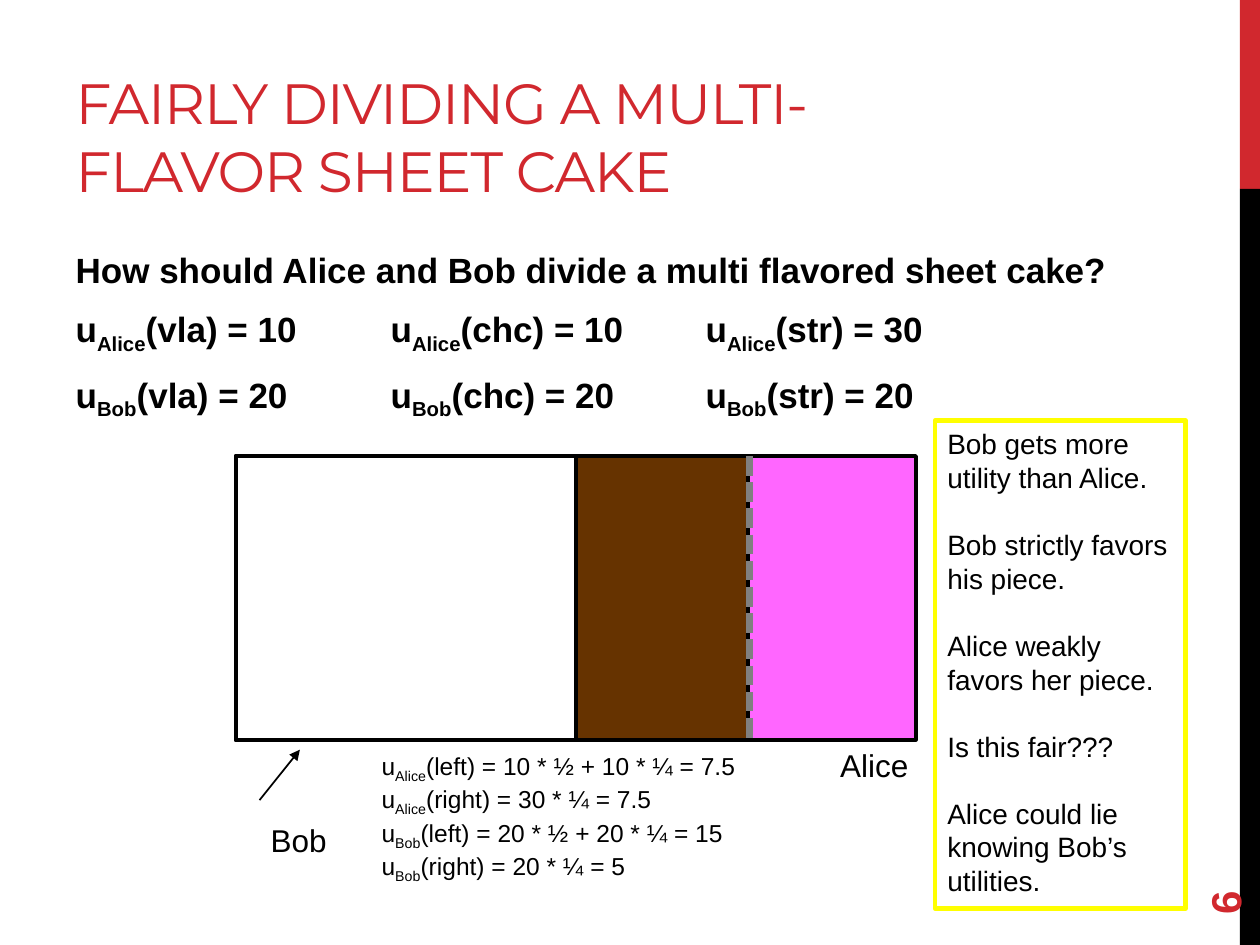
from lxml.etree import SubElement
from pptx import Presentation
from pptx.dml.color import RGBColor
from pptx.enum.dml import MSO_LINE
from pptx.enum.shapes import MSO_CONNECTOR, MSO_SHAPE
from pptx.enum.text import MSO_ANCHOR, MSO_AUTO_SIZE, PP_ALIGN
from pptx.oxml.ns import qn
from pptx.util import Inches, Pt

RED, BLACK, WHITE = "D1282E", "000000", "FFFFFF"
CAKE_LEFT, CAKE_TOP, CAKE_WIDTH, CAKE_HEIGHT = 1.87, 3.62, 5.4, 2.25
CAKE_BOTTOM = CAKE_TOP + CAKE_HEIGHT


def color(hex_string):
    return RGBColor.from_string(hex_string)


def place(shape, left, top, width, height):
    shape.left, shape.top = Inches(left), Inches(top)
    shape.width, shape.height = Inches(width), Inches(height)


def add_runs(paragraph, text, size, hex_string=BLACK, font="Arial", bold=False):
    for index, part in enumerate(text.split("_")):
        run = paragraph.add_run()
        run.text = part
        run.font.size = Pt(size)
        run.font.name = font
        run.font.bold = bold
        run.font.color.rgb = color(hex_string)
        if index % 2:
            run.font._element.set("baseline", "-25000")


def write(shape, lines, size, gap=0, after=0, anchor=MSO_ANCHOR.TOP, wrap=True, **style):
    frame = shape.text_frame
    frame.word_wrap = wrap
    frame.auto_size = MSO_AUTO_SIZE.NONE
    frame.vertical_anchor = anchor
    for index, line in enumerate(lines):
        paragraph = frame.add_paragraph() if index else frame.paragraphs[0]
        paragraph.alignment = PP_ALIGN.LEFT
        paragraph.line_spacing = 1.0
        paragraph.space_before = Pt(gap if index else 0)
        paragraph.space_after = Pt(after)
        properties = paragraph._p.get_or_add_pPr()
        properties.set("marL", "0")
        properties.set("indent", "0")
        SubElement(properties, qn("a:buNone"))
        add_runs(paragraph, line, size, **style)


def add_label(slide, lines, size, left, top, width, height, **options):
    box = slide.shapes.add_textbox(0, 0, 0, 0)
    place(box, left, top, width, height)
    write(box, lines, size, **options)
    return box


def add_rectangle(slide, left, top, width, height, fill=None, line=None, line_width=2.25):
    shape = slide.shapes.add_shape(MSO_SHAPE.RECTANGLE, 0, 0, 0, 0)
    place(shape, left, top, width, height)
    shape.shadow.inherit = False
    if fill:
        shape.fill.solid()
        shape.fill.fore_color.rgb = color(fill)
    else:
        shape.fill.background()
    if line:
        shape.line.color.rgb = color(line)
        shape.line.width = Pt(line_width)
    else:
        shape.line.fill.background()
    return shape


def add_line(slide, start, end, hex_string, width):
    points = [Inches(value) for value in (*start, *end)]
    connector = slide.shapes.add_connector(MSO_CONNECTOR.STRAIGHT, *points)
    connector.line.color.rgb = color(hex_string)
    connector.line.width = Pt(width)
    SubElement(connector._element.spPr, qn("a:effectLst"))
    return connector


def add_title(slide):
    title = slide.shapes.title
    place(title, 0.5, 0.17, 6.66, 1.5)
    write(title, ["FAIRLY DIVIDING A MULTI-FLAVOR SHEET CAKE"], 32.4,
          anchor=MSO_ANCHOR.BOTTOM, hex_string=RED, font="Montserrat")
    title.text_frame.paragraphs[0].runs[0].font._element.set("spc", "-60")


def add_utilities(slide):
    body = slide.placeholders[1]
    place(body, 0.5, 1.92, 8.79, 2.87)
    values = {"Alice": (10, 10, 30), "Bob": (20, 20, 20)}
    lines = ["How should Alice and Bob divide a multi flavored sheet cake?"]
    for person, utilities in values.items():
        cells = zip(("vla", "chc", "str"), utilities)
        lines.append("\t\t".join(f"u_{person}_({flavor}) = {value}" for flavor, value in cells))
    write(body, lines, 20, gap=4, after=6, bold=True)


def add_cake(slide):
    pieces = ((0, CAKE_WIDTH, "FF66FF"), (0, CAKE_WIDTH / 2, WHITE),
              (CAKE_WIDTH / 2, 1.37, "663300"))
    for offset, width, fill in pieces:
        add_rectangle(slide, CAKE_LEFT + offset, CAKE_TOP, width, CAKE_HEIGHT, fill, BLACK)
    add_label(slide, ["Alice"], 18, 6.57, CAKE_BOTTOM, 0.75, 0.4, wrap=False)
    cut = add_line(slide, (5.95, CAKE_TOP), (5.95, CAKE_BOTTOM), "808080", 3.75)
    cut.line.dash_style = MSO_LINE.SQUARE_DOT


def add_calculations(slide):
    add_label(slide, ["u_Alice_(left) = 10 * ½ + 10 * ¼ = 7.5",
                      "u_Alice_(right) = 30 * ¼ = 7.5",
                      "u_Bob_(left) = 20 * ½ + 20 * ¼ = 15",
                      "u_Bob_(right) = 20 * ¼ = 5"], 14, 2.93, 5.91, 3.11, 1.04)


def add_remarks(slide):
    box = add_rectangle(slide, 7.42, 3.34, 1.99, 3.87, line="FFFF00", line_width=2.75)
    write(box, ["Bob gets more utility than Alice.",
                "Bob strictly favors his piece.",
                "Alice weakly favors her piece.",
                "Is this fair???",
                "Alice could lie knowing Bob’s utilities."], 16, gap=19.2)


def add_bob_pointer(slide):
    add_label(slide, ["Bob"], 18, 2.05, 6.47, 0.66, 0.4, wrap=False)
    arrow = add_line(slide, (2.06, 6.35), (2.38, 5.95), BLACK, 1)
    SubElement(arrow.line._get_or_add_ln(), qn("a:tailEnd"), type="triangle")


def main():
    presentation = Presentation()
    presentation.slide_width, presentation.slide_height = Inches(10), Inches(7.5)
    slide = presentation.slides.add_slide(presentation.slide_layouts[1])
    add_rectangle(slide, 9.84, 0, 0.16, 1.5, RED)
    add_rectangle(slide, 9.84, 1.5, 0.16, 6, BLACK)
    add_title(slide)
    add_utilities(slide)
    number = add_label(slide, ["6"], 24, 9, 6.44, 1.44, 0.4,
                       anchor=MSO_ANCHOR.MIDDLE, hex_string=RED, bold=True)
    number.rotation = 270
    add_cake(slide)
    add_calculations(slide)
    add_remarks(slide)
    add_bob_pointer(slide)
    presentation.save("out.pptx")


if __name__ == "__main__":
    main()
